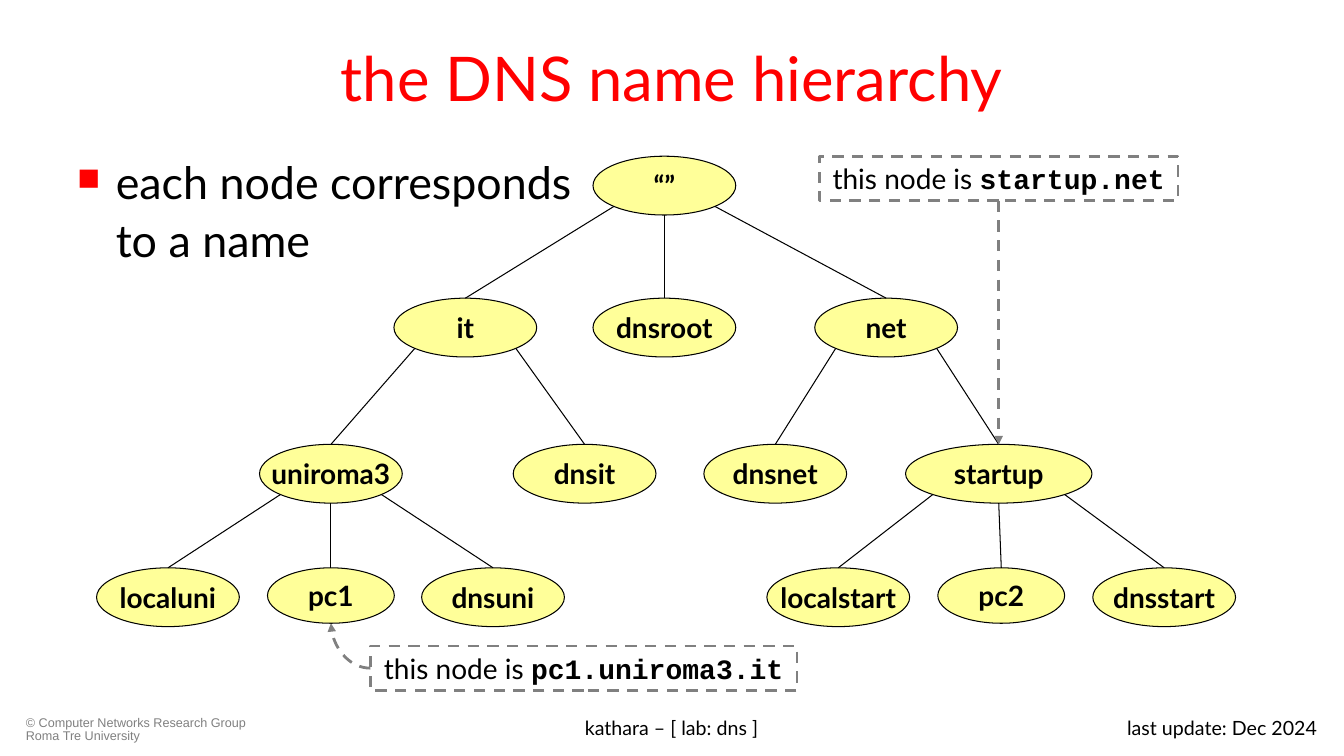
from dataclasses import dataclass
from math import sqrt
from typing import Any

from lxml import etree
from pptx import Presentation
from pptx import util as u
from pptx.dml.color import RGBColor
from pptx.enum import dml, shapes, text
from pptx.oxml import ns

COLUMNS, ROWS = 160, 90
NODE_HEIGHT = 7
CALLOUT_HEIGHT = 5.3


@dataclass(frozen=True)
class Theme:
    red: RGBColor = RGBColor(0xFF, 0, 0)
    black: RGBColor = RGBColor(0, 0, 0)
    grey: RGBColor = RGBColor(0x80, 0x80, 0x80)
    white: RGBColor = RGBColor(0xFF, 0xFF, 0xFF)
    yellow: RGBColor = RGBColor(0xFF, 0xFF, 0x99)
    sans: str = "Lato"
    mono: str = "Courier New"
    legal: str = "Arial"
    title: int = 44
    body: int = 32
    label: int = 20
    footer: int = 14
    copyright: int = 9


@dataclass(frozen=True)
class Node:
    name: str
    center: float
    top: float
    parent: str = ""
    side: int = 0  # side of the parent: -1 left, 0 middle, 1 right
    width: float = 17
    height: float = NODE_HEIGHT


@dataclass(frozen=True)
class Callout:
    domain: str
    left: float
    top: float
    width: float


@dataclass(frozen=True)
class Footer:
    words: str
    left: float
    width: float
    align: Any
    size: int
    color: RGBColor
    face: str
    spacing: float = 1.0


THEME = Theme()
LEVELS = (18.6, 35.5, 52.9, 67.6)
NODES = (
    Node("“”", 79.1, LEVELS[0]),
    Node("it", 55.4, LEVELS[1], "“”", -1),
    Node("dnsroot", 79.1, LEVELS[1], "“”"),
    Node("net", 105.5, LEVELS[1], "“”", 1),
    Node("uniroma3", 39.4, LEVELS[2], "it", -1),
    Node("dnsit", 69.6, LEVELS[2], "it", 1),
    Node("dnsnet", 92.3, LEVELS[2], "net", -1),
    Node("startup", 118.9, LEVELS[2], "net", 1, width=22.2),
    Node("localuni", 20, LEVELS[3], "uniroma3", -1),
    Node("pc1", 39.4, LEVELS[3], "uniroma3", width=15.1, height=6.6),
    Node("dnsuni", 58.7, LEVELS[3], "uniroma3", 1),
    Node("localstart", 99.8, LEVELS[3], "startup", -1),
    Node("pc2", 119.2, LEVELS[3], "startup", width=15.1, height=6.6),
    Node("dnsstart", 138.6, LEVELS[3], "startup", 1),
)
STARTUP_NOTE = Callout("startup.net", 97.55, 18.6, 42.7)
PC1_NOTE = Callout("pc1.uniroma3.it", 44.1, 76.9, 50.8)
FOOTERS = (
    Footer("© Computer Networks Research Group Roma Tre University", 1.9, 29.9,
           text.PP_ALIGN.LEFT, THEME.copyright, THEME.grey, THEME.legal, 0.9),
    Footer("last update: Dec 2024", 121.6, 36.4,
           text.PP_ALIGN.RIGHT, THEME.footer, THEME.black, THEME.sans),
    Footer("kathara – [ lab: dns ]", 40.9, 78.1,
           text.PP_ALIGN.CENTER, THEME.footer, THEME.black, THEME.sans),
)
EDGE = {"color": THEME.black, "width": u.Pt(0.75)}
DASHED = {"color": THEME.grey, "width": u.Pt(2), "dash_style": dml.MSO_LINE.DASH}

deck = Presentation()
deck.slide_width, deck.slide_height = u.Inches(13.333), u.Inches(7.5)
slide = deck.slides.add_slide(deck.slide_layouts[5])


def col(count: float) -> int:
    return round(deck.slide_width * count / COLUMNS)


def row(count: float) -> int:
    return round(deck.slide_height * count / ROWS)


def box(left: float, top: float, width: float, height: float) -> tuple[int, ...]:
    return col(left), row(top), col(width), row(height)


def apply(target: Any, values: dict[str, Any]) -> None:
    """Set each value on the target; a colour goes into its colour format."""
    for key, value in values.items():
        if key == "color":
            if hasattr(target, "fill"):
                target.fill.solid()
            target.color.rgb = value
        else:
            setattr(target, key, value)


def write(paragraph: Any, words: str, size: int, color: RGBColor = THEME.black,
          face: str = THEME.sans, bold: bool = False) -> None:
    run = paragraph.add_run()
    run.text = words
    apply(run.font, {"size": u.Pt(size), "name": face, "bold": bold, "color": color})


def add_box(kind: Any, place: tuple[int, ...], fill: RGBColor, line: dict[str, Any]) -> Any:
    shape = slide.shapes.add_shape(kind, *place)
    shape.shadow.inherit = False
    shape.fill.solid()
    shape.fill.fore_color.rgb = fill
    apply(shape.line, line)
    apply(shape.text_frame, {"word_wrap": False, "vertical_anchor": text.MSO_ANCHOR.MIDDLE})
    shape.text_frame.paragraphs[0].alignment = text.PP_ALIGN.CENTER
    return shape


def add_link(kind: Any, start: tuple[float, float], end: tuple[float, float],
             line: dict[str, Any], arrow: bool = False) -> Any:
    link = slide.shapes.add_connector(
        kind, col(start[0]), row(start[1]), col(end[0]), row(end[1]))
    apply(link.line, line)
    if arrow:
        etree.SubElement(link.line._get_or_add_ln(), ns.qn("a:tailEnd"), type="triangle")
    etree.SubElement(link._element.spPr, ns.qn("a:effectLst"))
    return link


def add_node(node: Node) -> Any:
    place = box(node.center - node.width / 2, node.top, node.width, node.height)
    oval = add_box(shapes.MSO_SHAPE.OVAL, place, THEME.yellow, EDGE)
    write(oval.text_frame.paragraphs[0], node.name, THEME.label, bold=True)
    return oval


def add_branch(parent: Node, child: Node, child_oval: Any) -> None:
    """Run from the parent's lower rim to the top of the child."""
    x = parent.center + child.side * parent.width / 2 / sqrt(2)
    drop = 1 / sqrt(2) if child.side else 1
    y = parent.top + parent.height / 2 * (1 + drop)
    link = add_link(shapes.MSO_CONNECTOR.STRAIGHT, (x, y), (child.center, child.top), EDGE)
    link.end_connect(child_oval, 0)


def add_callout(note: Callout) -> Any:
    place = box(note.left, note.top, note.width, CALLOUT_HEIGHT)
    frame = add_box(shapes.MSO_SHAPE.RECTANGLE, place, THEME.white, DASHED)
    frame.text_frame.auto_size = text.MSO_AUTO_SIZE.SHAPE_TO_FIT_TEXT
    paragraph = frame.text_frame.paragraphs[0]
    write(paragraph, "this node is ", THEME.label)
    write(paragraph, note.domain, THEME.label, face=THEME.mono, bold=True)
    return frame


def add_title() -> None:
    title = slide.shapes.title
    title.left, title.top, title.width, title.height = box(8, 1.6, 144, 15)
    apply(title.text_frame, {"vertical_anchor": text.MSO_ANCHOR.MIDDLE, "word_wrap": True,
                             "auto_size": text.MSO_AUTO_SIZE.NONE})
    heading = title.text_frame.paragraphs[0]
    heading.alignment = text.PP_ALIGN.CENTER
    write(heading, "the DNS name hierarchy", THEME.title, THEME.red)


def add_statement() -> None:
    frame = slide.shapes.add_textbox(*box(8, 18.6, 144, 61.8)).text_frame
    frame.word_wrap = True
    first, second = frame.paragraphs[0], frame.add_paragraph()
    first.line_spacing = second.line_spacing = 0.9
    second.space_before = u.Pt(THEME.body * 0.2)
    indent = str(col(4.6))
    apply_indent = {first: (indent, "-" + indent), second: (indent, "0")}
    for paragraph, (margin, hanging) in apply_indent.items():
        props = paragraph._p.get_or_add_pPr()
        props.set("marL", margin)
        props.set("indent", hanging)
    props = first._p.get_or_add_pPr()
    color = etree.SubElement(props, ns.qn("a:buClr"))
    etree.SubElement(color, ns.qn("a:srgbClr"), val=str(THEME.red))
    etree.SubElement(props, ns.qn("a:buSzPct"), val="70000")
    etree.SubElement(props, ns.qn("a:buChar"), char="■")
    write(first, "each node corresponds", THEME.body)
    write(second, "to a name", THEME.body)


def add_footer(footer: Footer) -> None:
    frame = slide.shapes.add_textbox(*box(footer.left, 84.7, footer.width, 4.3)).text_frame
    frame.word_wrap = True
    paragraph = frame.paragraphs[0]
    apply(paragraph, {"alignment": footer.align, "line_spacing": footer.spacing})
    write(paragraph, footer.words, footer.size, footer.color, footer.face)


def main() -> None:
    add_title()
    add_statement()
    for footer in FOOTERS:
        add_footer(footer)
    tree = {node.name: node for node in NODES}
    ovals = {node.name: add_node(node) for node in NODES}
    for node in NODES:
        if node.parent:
            add_branch(tree[node.parent], node, ovals[node.name])

    startup, pc1 = tree["startup"], tree["pc1"]
    startup_box = add_callout(STARTUP_NOTE)
    pointer = add_link(shapes.MSO_CONNECTOR.STRAIGHT,
                       (startup.center, STARTUP_NOTE.top + CALLOUT_HEIGHT),
                       (startup.center, startup.top), DASHED, arrow=True)
    pointer.begin_connect(startup_box, 2)
    pointer.end_connect(ovals["startup"], 0)
    add_callout(PC1_NOTE)
    bend = add_link(shapes.MSO_CONNECTOR.CURVE,
                    (PC1_NOTE.left, PC1_NOTE.top + CALLOUT_HEIGHT / 2),
                    (pc1.center, pc1.top + pc1.height), DASHED, arrow=True)
    bend._element.spPr.find(ns.qn("a:prstGeom")).set("prst", "curvedConnector2")
    deck.save("out.pptx")


if __name__ == "__main__":
    main()
